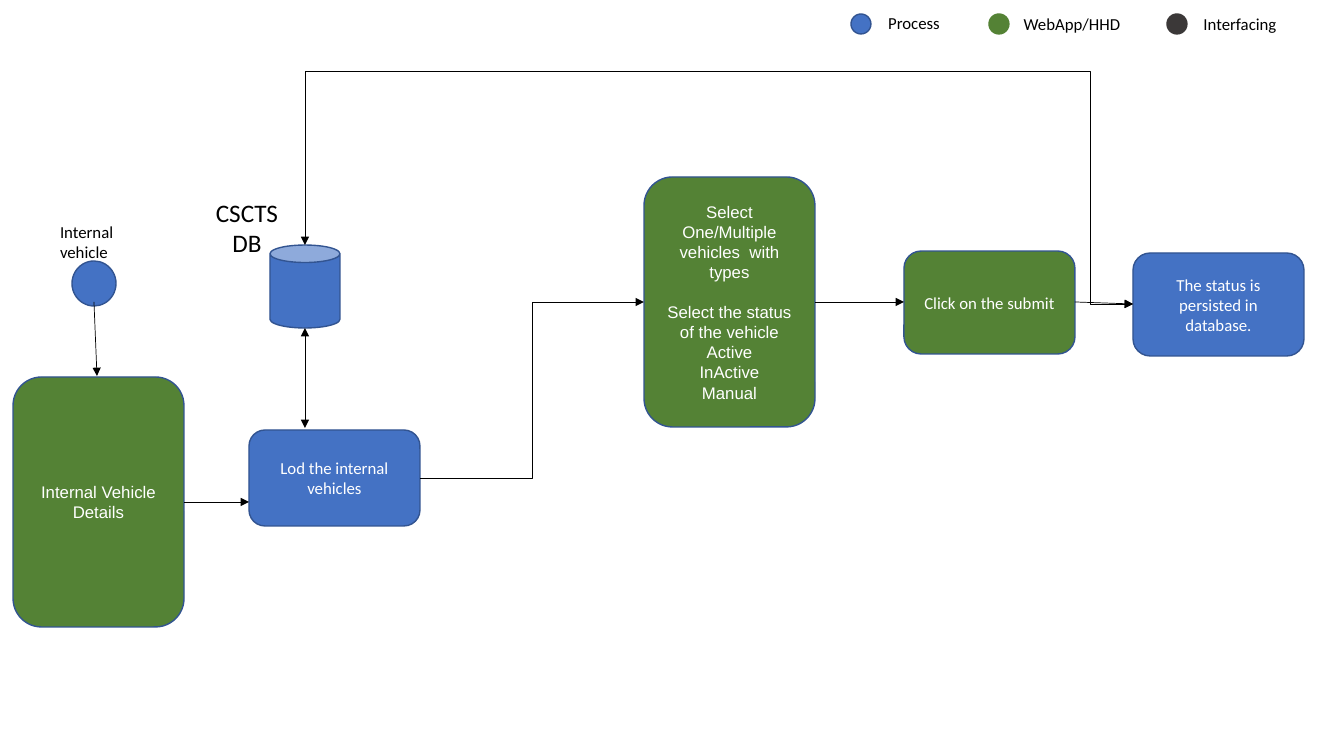
from lxml import etree
from pptx import Presentation
from pptx import util as u
from pptx.dml.color import RGBColor
from pptx.enum import shapes, text
from pptx.oxml.ns import qn

BLUE, GREEN, GREY, EDGE = "4472C4", "548235", "3B3838", "325491"
BLACK, WHITE = "000000", "FFFFFF"
KIND = shapes.MSO_SHAPE
STEP_WIDTH = 171


def px(length):
    """Turn pixels into EMU."""
    return u.Emu(round(length * 914400 / 100.8))


def color(value):
    """Turn a hex string into a colour."""
    return RGBColor.from_string(value)


def write(frame, lines, font="Calibri", size=12, ink=BLACK, align="CENTER", gaps=()):
    """Write one paragraph per line, with space before the lines listed in gaps."""
    frame.word_wrap = True
    for index, line in enumerate(lines):
        para = frame.paragraphs[0] if index == 0 else frame.add_paragraph()
        para.alignment = getattr(text.PP_ALIGN, align)
        if index in gaps:
            para.space_before = u.Pt(14)
        span = para.add_run()
        span.text = line
        span.font.name, span.font.size = font, u.Pt(size)
        span.font.color.rgb = color(ink)


class FlowSlide:
    """Style and current slide of the flow chart."""

    def __init__(self, deck):
        """Add a blank slide to the deck."""
        self.page = deck.slides.add_slide(deck.slide_layouts[6])

    def shape(self, kind, left, top, width, height, fill, edge=EDGE):
        """Add a filled preset shape."""
        box = self.page.shapes.add_shape(kind, px(left), px(top), px(width), px(height))
        box.shadow.inherit = False
        box.fill.solid()
        box.fill.fore_color.rgb = color(fill)
        box.line.color.rgb = color(edge)
        box.line.width = u.Pt(1)
        return box

    def step(self, left, top, height, fill, lines, **style):
        """Add a rounded process step with centred text."""
        box = self.shape(KIND.FLOWCHART_ALTERNATE_PROCESS, left, top, STEP_WIDTH, height, fill)
        box.text_frame.vertical_anchor = text.MSO_ANCHOR.MIDDLE
        write(box.text_frame, lines, ink=WHITE, **style)

    def label(self, left, top, width, height, lines, **style):
        """Add a text box without margins."""
        frame = self.page.shapes.add_textbox(px(left), px(top), px(width), px(height)).text_frame
        frame.margin_left = frame.margin_right = frame.margin_top = frame.margin_bottom = 0
        write(frame, lines, **style)

    def arrow(self, start, end, bent=False, both=False):
        """Add a thin black arrow, straight or bent, with one or two heads."""
        kind = shapes.MSO_CONNECTOR.ELBOW if bent else shapes.MSO_CONNECTOR.STRAIGHT
        link = self.page.shapes.add_connector(kind, *map(px, start + end))
        link.line.color.rgb = color(BLACK)
        link.line.width = u.Pt(0.5)
        outline = link.line._get_or_add_ln()
        for tag in ("a:headEnd", "a:tailEnd") if both else ("a:tailEnd",):
            etree.SubElement(outline, qn(tag), type="triangle")
        etree.SubElement(link._element.spPr, qn("a:effectLst"))
        return link

    def loop(self, start, end, over, bend):
        """Add a two-headed arrow that rises to y over, then drops at x bend."""
        (x1, y1), (x2, y2) = start, end
        rise, run = y2 - y1, x2 - x1
        middle_x, middle_y = (x1 + x2) / 2, (y1 + y2) / 2
        link = self.arrow((middle_x + rise / 2, middle_y - run / 2),
                          (middle_x - rise / 2, middle_y + run / 2), bent=True, both=True)
        props = link._element.spPr
        props.find(qn("a:xfrm")).set("rot", str(270 * 60000))
        geometry = props.find(qn("a:prstGeom"))
        geometry.set("prst", "bentConnector4")
        guides = geometry.find(qn("a:avLst"))
        if guides is None:
            guides = etree.SubElement(geometry, qn("a:avLst"))
        ratios = ((over - y1) / rise, (bend - x1) / run)
        for number, ratio in enumerate(ratios, 1):
            etree.SubElement(guides, qn("a:gd"), name=f"adj{number}",
                             fmla=f"val {round(ratio * 100000)}")


deck = Presentation()
deck.slide_width, deck.slide_height = px(1344), px(756)
flow = FlowSlide(deck)

# Legend: dot left, label centre, label top
legend = [("Process", 851, 914, 13, BLUE, EDGE),
          ("WebApp/HHD", 989, 1072, 14, GREEN, GREEN),
          ("Interfacing", 1167, 1240, 14, GREY, GREY)]
for name, left, middle, top, fill, edge in legend:
    flow.shape(KIND.FLOWCHART_CONNECTOR, left, 14, 20, 20, fill, edge)
    flow.label(middle - 59, top, 118, 20, [name])

# Start point and database
flow.label(60, 222, 78, 40, ["Internal vehicle"], align="LEFT")
flow.shape(KIND.FLOWCHART_CONNECTOR, 72, 261, 44, 45, BLUE)
flow.label(207, 197, 80, 62, ["CSCTS", "DB"], size=18)
flow.shape(KIND.CAN, 270, 245, 70, 83, BLUE)

# Steps
flow.step(13, 377, 250, GREEN, ["Internal Vehicle Details"], font="Arial")
flow.step(249, 430, 96, BLUE, ["Lod the internal vehicles"])
flow.step(644, 177, 250, GREEN,
          ["Select One/Multiple vehicles  with types", "Select the status of the vehicle",
           "Active", "InActive", "Manual"], font="Arial", gaps=(1,))
flow.step(904, 251, 103, GREEN, ["Click on the submit"])
flow.step(1133, 253, 103, BLUE, ["The status is persisted in database."])

# Arrows
flow.arrow((94, 302), (97, 376))
flow.arrow((184, 502), (249, 502))
flow.arrow((305, 328), (305, 428), both=True)
flow.arrow((420, 478), (644, 302), bent=True)
flow.arrow((815, 302), (904, 302))
flow.arrow((1075, 302), (1133, 304))
flow.loop((305, 245), (1133, 304), over=71, bend=1091)

deck.save("out.pptx")
